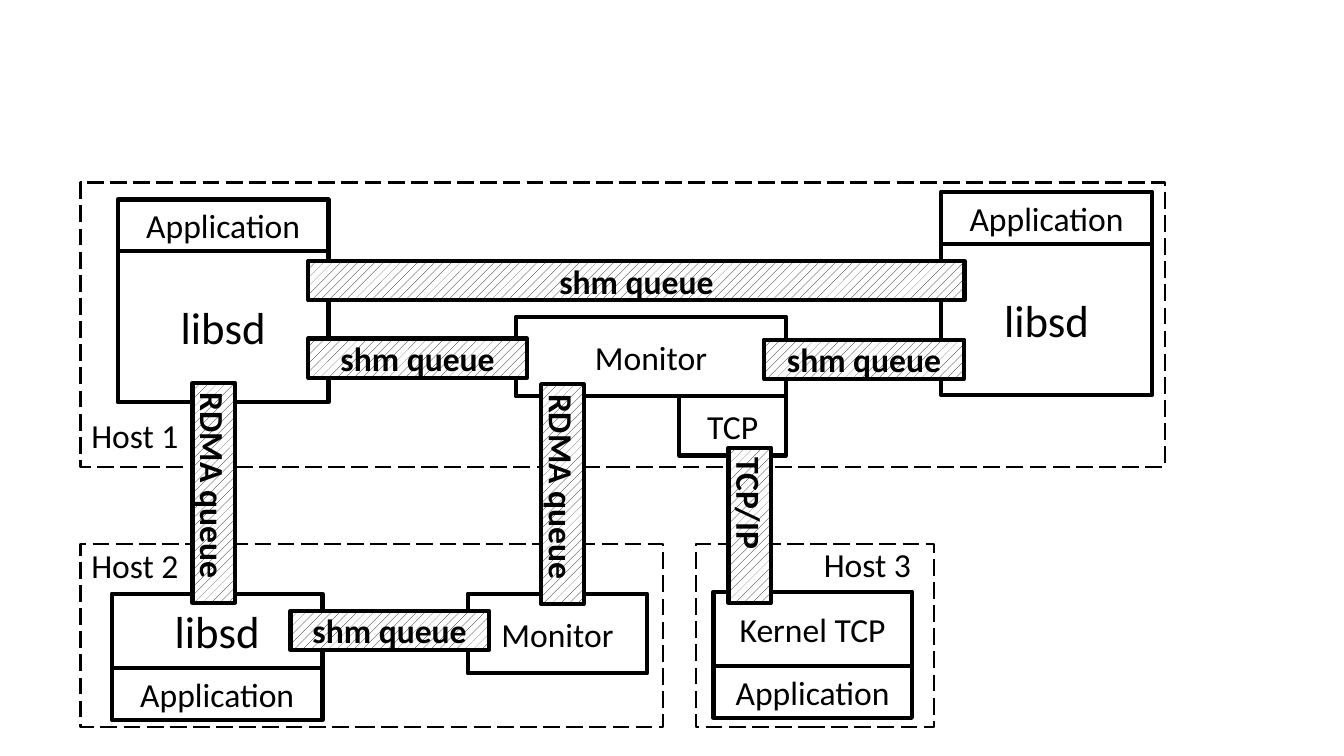
from pptx import Presentation
from pptx.dml.color import RGBColor
from pptx.enum.dml import MSO_LINE, MSO_PATTERN
from pptx.enum.shapes import MSO_SHAPE
from pptx.enum.text import MSO_ANCHOR, PP_ALIGN
from pptx.util import Cm, Pt

BLACK = RGBColor(0, 0, 0)
WHITE = RGBColor(255, 255, 255)
FONT = "Calibri"
BODY, LARGE = 24, 32  # text sizes in points

# Lengths in centimetres
# Hosts: left, top, width, height
HOSTS = [
    (17.53, 13.72, 6.02, 4.6),
    (2.03, 13.72, 14.68, 4.6),
    (2.03, 4.6, 27.33, 7.16),
]
# Host names: text, left, top, width
HOST_NAMES = [
    ("Host 1", 1.19, 10.34, 3.56),
    ("Host 2", 1.19, 13.61, 3.56),
    ("Host 3", 18.36, 13.59, 4.85),
]
# Stacked layers: left, top, width, [(text, height, text size)]
STACKS = [
    (2.97, 5.03, 5.31, [("Application", 1.3, BODY), ("libsd", 3.81, LARGE)]),
    (23.72, 4.83, 5.31, [("Application", 1.32, BODY), ("libsd", 3.81, LARGE)]),
    (2.82, 14.96, 5.31, [("libsd", 1.88, LARGE), ("Application", 1.3, BODY)]),
    (17.98, 14.91, 5, [("Kernel TCP", 1.88, BODY), ("Application", 1.3, BODY)]),
    (17.12, 9.98, 2.69, [("TCP", 1.5, BODY)]),
]
# Monitors: left, top, width
MONITORS = [(13, 7.98, 6.81), (11.79, 14.96, 4.52)]
MONITOR_HEIGHT = 2.01
MONITOR_SPACING = Pt(40)
# Queues: text, left, top, length
FLAT_QUEUES = [
    ("shm queue", 7.77, 8.53, 5.51),
    ("shm queue", 19.25, 8.56, 5.05),
    ("shm queue", 7.77, 6.58, 16.54),
    ("shm queue", 7.32, 15.39, 5),
]
UPRIGHT_QUEUES = [
    ("RDMA queue", 4.85, 9.65, 5.54),
    ("TCP/IP", 18.36, 11.28, 3.91),
    ("RDMA queue", 13.64, 9.68, 5.54),
]
FLAT_THICKNESS, UPRIGHT_THICKNESS = 0.99, 1.07


def write(box, text, size=BODY, bold=False, align=PP_ALIGN.CENTER):
    frame = box.text_frame
    frame.word_wrap = True
    para = frame.paragraphs[0]
    para.alignment = align
    span = para.add_run()
    span.text = text
    span.font.name = FONT
    span.font.size = Pt(size)
    span.font.bold = bold
    span.font.color.rgb = BLACK
    return para


def add_box(page, left, top, width, height, line_width=3):
    box = page.shapes.add_shape(
        MSO_SHAPE.RECTANGLE, Cm(left), Cm(top), Cm(width), Cm(height))
    box.shadow.inherit = False
    box.fill.solid()
    box.fill.fore_color.rgb = WHITE
    box.line.color.rgb = BLACK
    box.line.width = Pt(line_width)
    box.text_frame.vertical_anchor = MSO_ANCHOR.MIDDLE
    return box


def add_queue(page, text, left, top, width, height):
    box = add_box(page, left, top, width, height)
    box.fill.patterned()
    box.fill.pattern = MSO_PATTERN.PERCENT_20
    box.fill.fore_color.rgb = BLACK
    box.fill.back_color.rgb = WHITE
    write(box, text, bold=True)
    return box


def main():
    deck = Presentation()
    deck.slide_width, deck.slide_height = Cm(33.87), Cm(19.05)
    page = deck.slides.add_slide(deck.slide_layouts[6])

    # Dashed host outlines and their names
    for host in HOSTS:
        outline = add_box(page, *host, line_width=1.5)
        outline.fill.background()
        outline.line.dash_style = MSO_LINE.LONG_DASH
    for name, left, top, width in HOST_NAMES:
        label = page.shapes.add_textbox(Cm(left), Cm(top), Cm(width), Cm(1.27))
        write(label, name, align=PP_ALIGN.RIGHT)

    # Monitors
    for left, top, width in MONITORS:
        monitor = add_box(page, left, top, width, MONITOR_HEIGHT)
        monitor.text_frame.vertical_anchor = MSO_ANCHOR.TOP
        write(monitor, "Monitor").line_spacing = MONITOR_SPACING

    # Software layers, each below the one before
    for left, top, width, layers in STACKS:
        for text, height, size in layers:
            write(add_box(page, left, top, width, height), text, size)
            top += height

    # Queues bridging the boxes
    for text, left, top, length in FLAT_QUEUES:
        add_queue(page, text, left, top, length, FLAT_THICKNESS)
    for text, left, top, length in UPRIGHT_QUEUES:
        queue = add_queue(page, text, left, top, UPRIGHT_THICKNESS, length)
        queue.text_frame._txBody.bodyPr.set("vert", "eaVert")

    deck.save("out.pptx")


if __name__ == "__main__":
    main()
